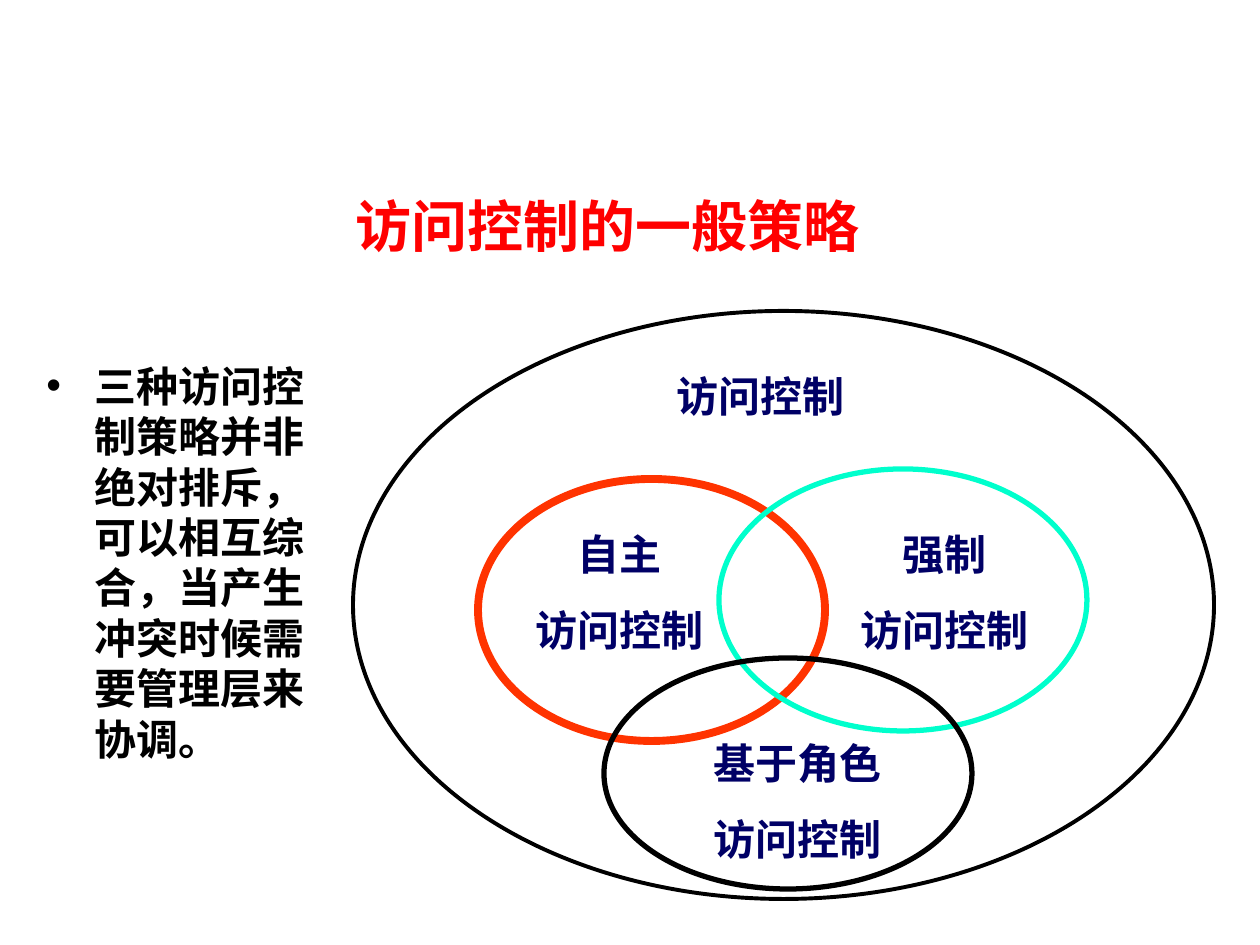
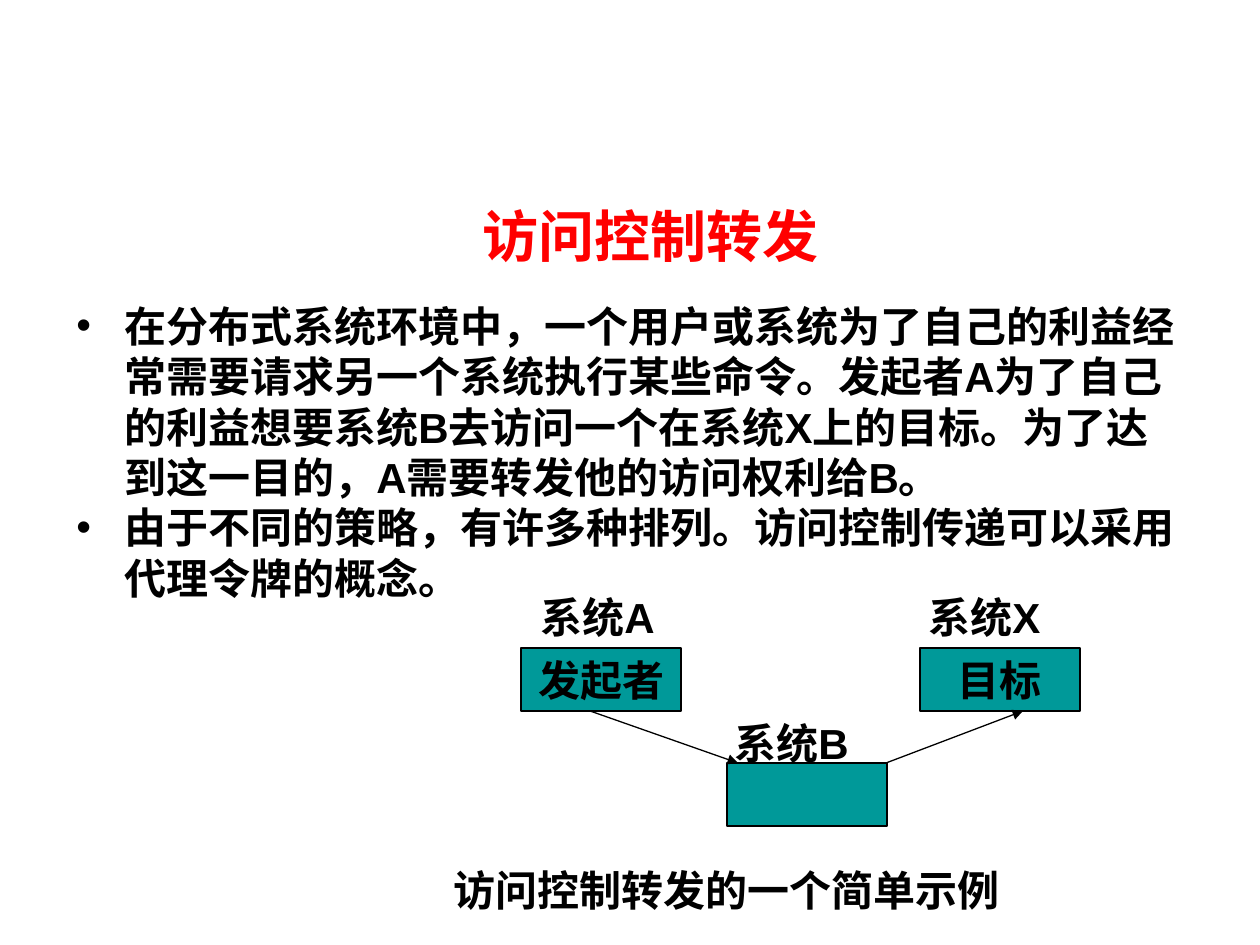
from lxml import etree
from pptx import Presentation
from pptx.dml.color import RGBColor
from pptx.enum.shapes import MSO_CONNECTOR, MSO_SHAPE
from pptx.enum.text import MSO_ANCHOR, PP_ALIGN
from pptx.oxml.ns import qn
from pptx.util import Emu, Pt

LEFT, CENTER = PP_ALIGN.LEFT, PP_ALIGN.CENTER
TOP, MIDDLE = MSO_ANCHOR.TOP, MSO_ANCHOR.MIDDLE
ELLIPSE, RECTANGLE = MSO_SHAPE.OVAL, MSO_SHAPE.RECTANGLE
STRAIGHT = MSO_CONNECTOR.STRAIGHT

PX_PER_INCH = 126
SLIDE_SIZE = (1260, 945)
COLORS = {"title": "FF0000", "text": "000000", "label": "000066", "outline": "000000",
          "red": "FF3300", "mint": "00FFCC", "system": "009999"}
SANS, SERIF, CJK = "Arial", "Times New Roman", "Noto Sans CJK SC"
TITLE_SIZE, TEXT_SIZE = 32, 24
INDENT = 48

# Slide 1: policies as overlapping ellipses
POLICY_TITLE = ("访问控制的一般策略", (343, 185, 586, 81))
POLICY_NOTE = (["三种访问控制策略并非绝对排斥，可以相互综合，当产生冲突时候需要管理层来协调。"],
               (34, 354, 319, 536))
# box, line colour, line width
POLICY_ELLIPSES = [
    ((353, 311, 861, 588), "outline", 2.25),
    ((478, 479, 347, 262), "red", 4.5),
    ((719, 469, 368, 262), "mint", 3),
    ((604, 658, 368, 231), "outline", 3),
]
POLICY_LABELS = [
    (["访问控制"], (656, 364, 210, 63)),
    (["自主", "访问控制"], (520, 522, 199, 140)),
    (["强制", "访问控制"], (845, 522, 199, 140)),
    (["基于角色", "访问控制"], (698, 731, 199, 140)),
]

# Slide 2: forwarding from system to system
FORWARD_TITLE = ("访问控制转发", (84, 185, 1134, 100))
FORWARD_POINTS = ([
    "在分布式系统环境中，一个用户或系统为了自己的利益经常需要请求另一个系统执行某些命令。"
    "发起者A为了自己的利益想要系统B去访问一个在系统X上的目标。"
    "为了达到这一目的，A需要转发他的访问权利给B。",
    "由于不同的策略，有许多种排列。访问控制传递可以采用代理令牌的概念。",
], (64, 294, 1134, 331))
SYSTEM_SIZE = (160, 63)
NAME_SIZE = (170, 63)
# role, box corner, name, name corner
SYSTEMS = [
    ("发起者", (521, 648), "系统A", (528, 585)),
    ("目标", (920, 648), "系统X", (916, 585)),
    ("", (727, 763), "系统B", (722, 711)),
]
FORWARD_ARROWS = [((590, 711), (738, 763)), ((886, 763), (1023, 711))]
FORWARD_CAPTION = ("访问控制转发的一个简单示例", (441, 858, 752, 63))


def px(length):
    return Emu(round(length * 914400 / PX_PER_INCH))


def rgb(name):
    return RGBColor.from_string(COLORS[name])


def write(shape, paragraphs, color="text", font=SANS, size=TEXT_SIZE, align=LEFT,
          anchor=TOP, wrap=True, before=0, bullets=False):
    frame = shape.text_frame
    frame.text = "\n".join(paragraphs)
    frame.word_wrap = wrap
    frame.vertical_anchor = anchor
    for paragraph in frame.paragraphs:
        paragraph.alignment = align
        paragraph.space_before = Pt(before)
        for run in paragraph.runs:
            run.font.name = font
            run.font.size = Pt(size)
            run.font.bold = True
            run.font.color.rgb = rgb(color)
        if bullets:
            properties = paragraph._p.get_or_add_pPr()
            properties.set("marL", str(px(INDENT)))
            properties.set("indent", str(-px(INDENT)))
            etree.SubElement(properties, qn("a:buFont")).set("typeface", SANS)
            etree.SubElement(properties, qn("a:buChar")).set("char", "•")


def add_text(slide, paragraphs, box, **style):
    write(slide.shapes.add_textbox(*map(px, box)), paragraphs, **style)


def add_title(slide, title, **style):
    text, box = title
    add_text(slide, [text], box, color="title", size=TITLE_SIZE, **style)


def add_figure(slide, kind, box, line, width, fill=None):
    figure = slide.shapes.add_shape(kind, *map(px, box))
    figure.shadow.inherit = False
    figure.line.color.rgb = rgb(line)
    figure.line.width = Pt(width)
    if fill:
        figure.fill.solid()
        figure.fill.fore_color.rgb = rgb(fill)
    else:
        figure.fill.background()
    return figure


def add_arrow(slide, start, end):
    arrow = slide.shapes.add_connector(STRAIGHT, *map(px, start + end))
    arrow.line.color.rgb = rgb("outline")
    arrow.line.width = Pt(0.75)
    properties = arrow._element.spPr
    etree.SubElement(properties.find(qn("a:ln")), qn("a:tailEnd")).set("type", "triangle")
    etree.SubElement(properties, qn("a:effectLst"))


def build_policies(slide):
    for box, line, width in POLICY_ELLIPSES:
        add_figure(slide, ELLIPSE, box, line, width)
    for lines, box in POLICY_LABELS:
        add_text(slide, lines, box, color="label", font=SERIF, align=CENTER, before=15)
    add_title(slide, POLICY_TITLE, font=SERIF)
    add_text(slide, *POLICY_NOTE, before=6, bullets=True)


def build_forwarding(slide):
    add_title(slide, FORWARD_TITLE, align=CENTER, anchor=MIDDLE)
    add_text(slide, *FORWARD_POINTS, bullets=True)
    for role, corner, name, name_corner in SYSTEMS:
        system = add_figure(slide, RECTANGLE, corner + SYSTEM_SIZE, "outline", 0.75, "system")
        if role:
            write(system, [role], font=SERIF, align=CENTER, anchor=MIDDLE, wrap=False)
        add_text(slide, [name], name_corner + NAME_SIZE)
    for start, end in FORWARD_ARROWS:
        add_arrow(slide, start, end)
    caption, box = FORWARD_CAPTION
    add_text(slide, [caption], box, font=CJK)


def main():
    deck = Presentation()
    deck.slide_width, deck.slide_height = map(px, SLIDE_SIZE)
    blank = deck.slide_layouts[6]
    for build in (build_policies, build_forwarding):
        build(deck.slides.add_slide(blank))
    deck.save("out.pptx")


if __name__ == "__main__":
    main()
